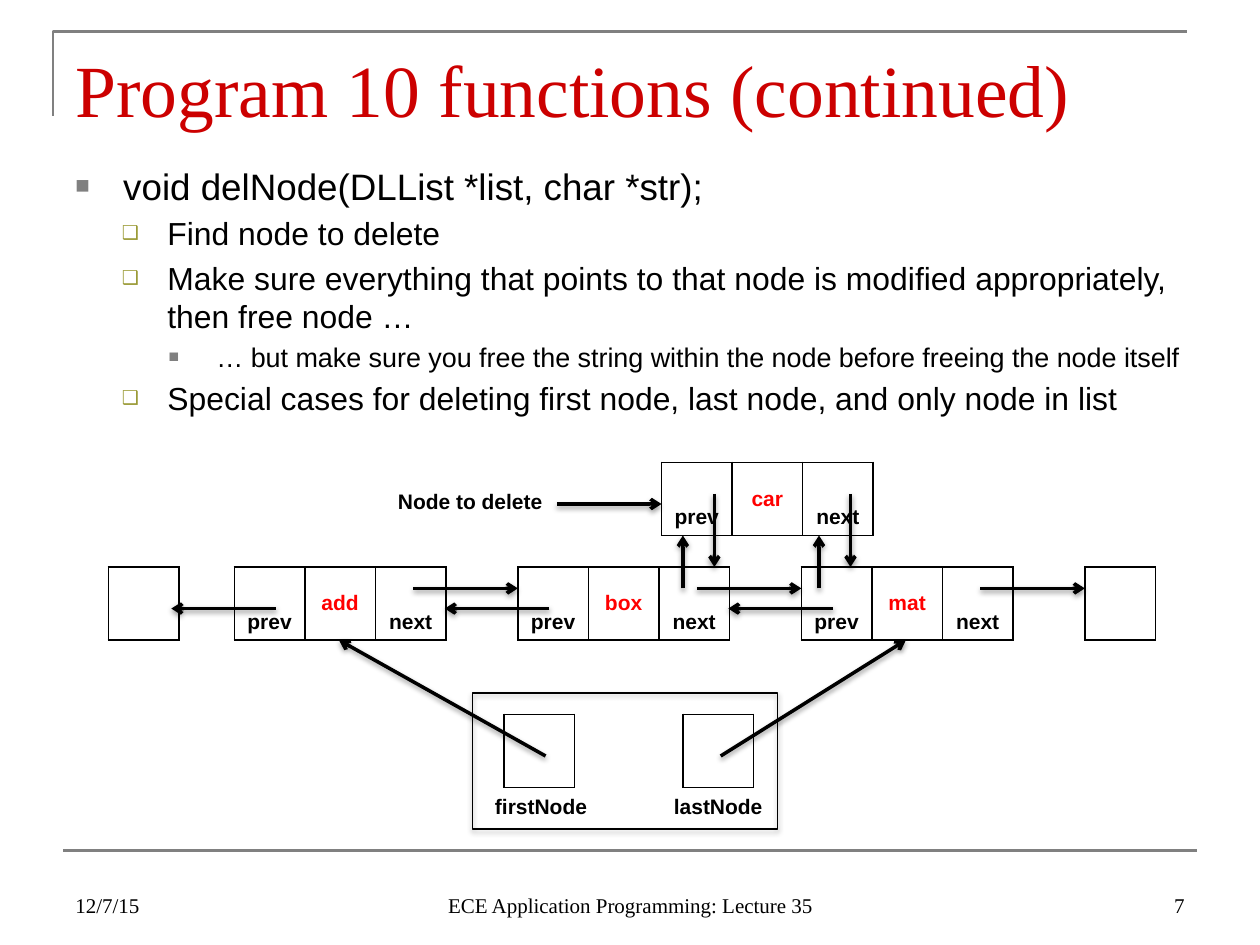
from lxml.etree import SubElement
from pptx import Presentation
from pptx.dml.color import RGBColor
from pptx.enum.shapes import MSO_CONNECTOR, MSO_SHAPE
from pptx.enum.text import MSO_ANCHOR, PP_ALIGN
from pptx.oxml.ns import qn
from pptx.util import Inches, Pt

BLACK = RGBColor(0x00, 0x00, 0x00)
GRAY = RGBColor(0x80, 0x80, 0x80)
OLIVE = RGBColor(0x99, 0x99, 0x33)
TITLE_RED = RGBColor(0xCC, 0x00, 0x00)
RED = RGBColor(0xFF, 0x00, 0x00)
SERIF, SANS = "Times New Roman", "Arial"
CELL_WIDTH, CELL_HEIGHT = 0.56, 0.58

deck = Presentation()
deck.slide_width, deck.slide_height = Inches(10), Inches(7.5)
page = deck.slides.add_slide(deck.slide_layouts[6])


def write(para, text, size, name=SANS, color=BLACK, bold=False):
    span = para.add_run()
    span.text = text
    for key, value in {"size": Pt(size), "name": name, "bold": bold}.items():
        setattr(span.font, key, value)
    span.font.color.rgb = color


def set_shadow(properties):
    effects = properties.find(qn("a:effectLst"))
    if effects is None:
        effects = SubElement(properties, qn("a:effectLst"))
    shadow = SubElement(effects, qn("a:outerShdw"), blurRad=str(Pt(3.1)),
                        dist=str(Pt(1.6)), dir="5400000", rotWithShape="0")
    tint = SubElement(shadow, qn("a:srgbClr"), val=str(BLACK))
    SubElement(tint, qn("a:alpha"), val="38000")


# Frame corner and footer rule
builder = page.shapes.build_freeform(Inches(0.42), Inches(0.92))
builder.add_line_segments([(Inches(0.42), Inches(0.25)), (Inches(9.42), Inches(0.25))],
                          close=False)
corner = builder.convert_to_shape()
corner.shadow.inherit = False
corner.fill.background()
rule = page.shapes.add_connector(MSO_CONNECTOR.STRAIGHT, Inches(0.5), Inches(6.75),
                                 Inches(9.5), Inches(6.75))
SubElement(rule._element.spPr, qn("a:effectLst"))
for edge in (corner, rule):
    edge.line.color.rgb = GRAY
    edge.line.width = Pt(1.5)

# Title and footer: text, left, top, width, height, size, colour, alignment, anchor
for text, left, top, width, height, size, color, alignment, anchor in [
    ("Program 10 functions (continued)", 0.5, 0.3, 9, 0.78, 42, TITLE_RED,
     PP_ALIGN.LEFT, MSO_ANCHOR.TOP),
    ("12/7/15", 0.5, 6.83, 2.33, 0.5, 12, BLACK, PP_ALIGN.LEFT, MSO_ANCHOR.BOTTOM),
    ("ECE Application Programming: Lecture 35", 3.42, 6.83, 3.17, 0.5, 12, BLACK,
     PP_ALIGN.CENTER, MSO_ANCHOR.BOTTOM),
    ("7", 7.17, 6.83, 2.33, 0.5, 12, BLACK, PP_ALIGN.RIGHT, MSO_ANCHOR.BOTTOM),
]:
    box = page.shapes.add_textbox(Inches(left), Inches(top), Inches(width), Inches(height))
    box.text_frame.word_wrap = True
    box.text_frame.vertical_anchor = anchor
    para = box.text_frame.paragraphs[0]
    para.alignment = alignment
    write(para, text, size, SERIF, color)

# Bulleted body; levels: size, left margin, hanging indent, bullet, colour, bullet percent
LEVELS = [
    (21, 0.38, 0.38, "■", GRAY, 65),
    (18.2, 0.73, 0.36, "❑", OLIVE, 60),
    (15.4, 1.12, 0.38, "■", GRAY, 65),
]
body = page.shapes.add_textbox(Inches(0.5), Inches(1.25), Inches(9), Inches(2.25))
body.text_frame.word_wrap = True
for index, (level, text) in enumerate([
    (0, "void delNode(DLList *list, char *str);"),
    (1, "Find node to delete"),
    (1, "Make sure everything that points to that node is modified appropriately, "
        "then free node …"),
    (2, "… but make sure you free the string within the node before freeing the node itself"),
    (1, "Special cases for deleting first node, last node, and only node in list"),
]):
    size, margin, hang, bullet, color, percent = LEVELS[level]
    para = body.text_frame.add_paragraph() if index else body.text_frame.paragraphs[0]
    para.level = level
    if index:
        para.space_before = Pt(round(size * 0.2, 1))
    properties = para._p.get_or_add_pPr()
    properties.set("marL", str(Inches(margin)))
    properties.set("indent", str(-Inches(hang)))
    SubElement(SubElement(properties, qn("a:buClr")), qn("a:srgbClr"), val=str(color))
    SubElement(properties, qn("a:buSzPct"), val=str(percent * 1000))
    SubElement(properties, qn("a:buFont"), typeface=SANS)
    SubElement(properties, qn("a:buChar"), char=bullet)
    write(para, text, size)

# Box around the list structure
list_box = page.shapes.add_shape(MSO_SHAPE.RECTANGLE, Inches(3.75), Inches(5.5),
                                 Inches(2.42), Inches(1.08))
list_box.shadow.inherit = False
list_box.fill.background()
list_box.line.color.rgb = BLACK
list_box.line.width = Pt(0.75)
set_shadow(list_box._element.spPr)

# Nodes and single pointers as tables
for left, top, words in [
    (1.86, 4.5, ["prev", "add", "next"]),
    (4.11, 4.5, ["prev", "box", "next"]),
    (6.36, 4.5, ["prev", "mat", "next"]),
    (5.25, 3.67, ["prev", "car", "next"]),
    (0.86, 4.5, [""]),
    (8.61, 4.5, [""]),
    (4, 5.67, [""]),
    (5.42, 5.67, [""]),
]:
    table = page.shapes.add_table(1, len(words), Inches(left), Inches(top),
                                  Inches(CELL_WIDTH * len(words)), Inches(CELL_HEIGHT)).table
    table.first_row = table.horz_banding = False
    for column, word in enumerate(words):
        cell = table.cell(0, column)
        is_value = column == 1
        cell.margin_left = cell.margin_right = Inches(0.05)
        cell.vertical_anchor = MSO_ANCHOR.MIDDLE if is_value else MSO_ANCHOR.BOTTOM
        for side in ("a:lnL", "a:lnR", "a:lnT", "a:lnB"):
            border = SubElement(cell._tc.get_or_add_tcPr(), qn(side), w=str(Pt(1)))
            SubElement(SubElement(border, qn("a:solidFill")), qn("a:srgbClr"), val=str(BLACK))
        cell.fill.background()
        if word:
            para = cell.text_frame.paragraphs[0]
            para.alignment = PP_ALIGN.CENTER
            write(para, word, 12, color=RED if is_value else BLACK, bold=True)

# Labels
for text, left, top, width in [
    ("firstNode", 3.83, 6.25, 0.95),
    ("lastNode", 5.25, 6.25, 0.91),
    ("Node to delete", 3.06, 3.83, 1.36),
]:
    label = page.shapes.add_textbox(Inches(left), Inches(top), Inches(width), Inches(0.3))
    label.text_frame.word_wrap = False
    write(label.text_frame.paragraphs[0], text, 12, bold=True)

# Pointer arrows: start x, start y, end x, end y
arrows = [(x, 4.67, x + 0.83, 4.67) for x in (3.28, 5.53, 7.78)]
arrows += [(x, 4.83, x - 0.83, 4.83) for x in (2.19, 4.36, 6.61)]
arrows += [(x, 3.92, x, 4.5) for x in (5.67, 6.75)]
arrows += [(x, 4.67, x, 4.25) for x in (5.42, 6.5)]
arrows += [(4.33, 6, 2.69, 5.08), (5.72, 6, 7.19, 5.08), (4.42, 4, 5.25, 4)]
for points in arrows:
    arrow = page.shapes.add_connector(MSO_CONNECTOR.STRAIGHT, *[Inches(v) for v in points])
    arrow.line.color.rgb = BLACK
    arrow.line.width = Pt(2)
    SubElement(arrow.line._get_or_add_ln(), qn("a:tailEnd"), type="arrow")
    set_shadow(arrow._element.spPr)

deck.save("out.pptx")
